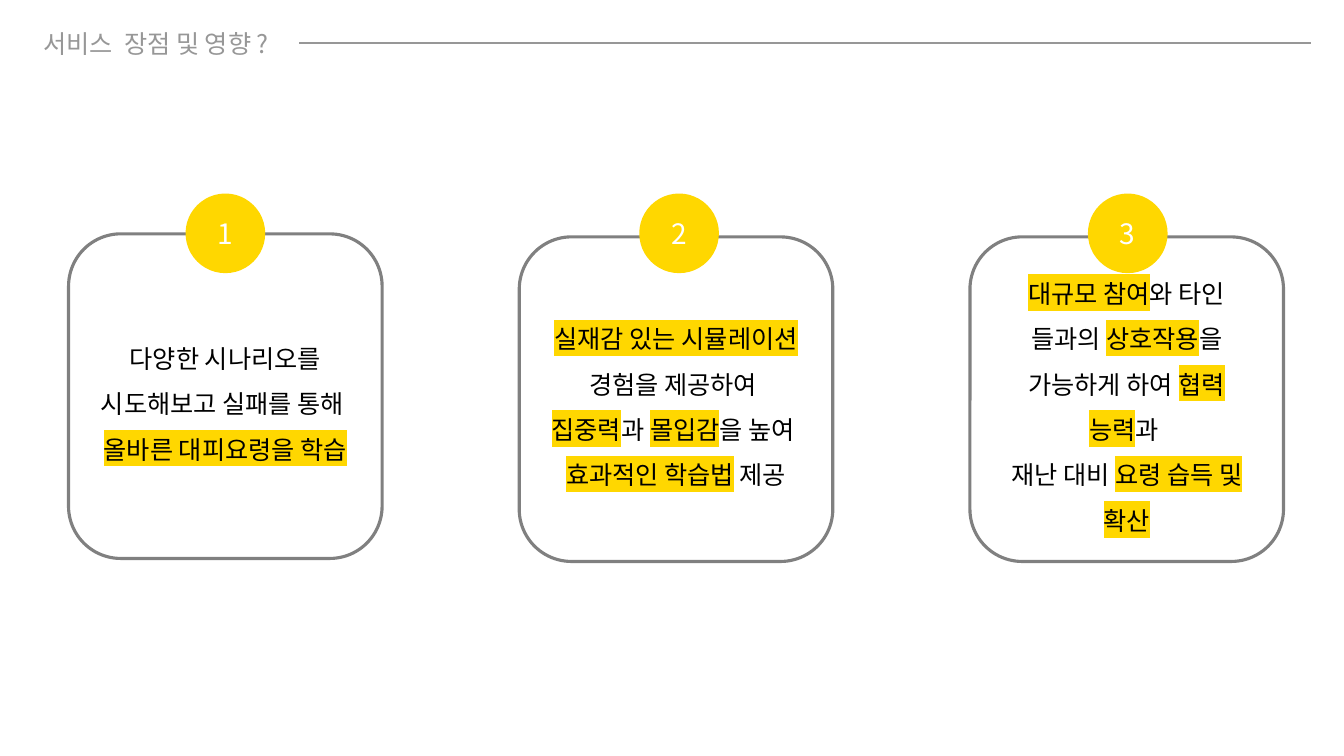
from lxml.etree import SubElement
from pptx import Presentation
from pptx.dml.color import RGBColor
from pptx.enum.shapes import MSO_CONNECTOR, MSO_SHAPE
from pptx.enum.text import MSO_ANCHOR, PP_ALIGN
from pptx.oxml import parse_xml
from pptx.oxml.ns import nsdecls, qn
from pptx.util import Inches, Pt

HEADING = "서비스  장점 및 영향 ?"
# Text between bars is highlighted: (badge left, card top, paragraphs)
BENEFITS = [
    (1.84, 2.32, ["다양한 시나리오를 시도해보고 실패를 통해 ",
                  "|올바른 대피요령을 학습|"]),
    (6.34, 2.35, ["|실재감 있는 시뮬레이션 |경험을 제공하여 ",
                  "|집중력|과 |몰입감|을 높여 ",
                  "|효과적인 학습법| 제공"]),
    (10.79, 2.35, ["|대규모 참여|와 타인 들과의 |상호작용|을 가능하게 하여 |협력 능력|과 ",
                   "재난 대비 |요령 습득 및 확산|"]),
]

FONT = "Noto Sans CJK KR"
YELLOW = RGBColor(0xFF, 0xD7, 0x00)
HEADING_GRAY = RGBColor(0x97, 0x97, 0x97)
BORDER_GRAY = RGBColor(0x80, 0x80, 0x80)
BLACK = RGBColor(0, 0, 0)
WHITE = RGBColor(0xFF, 0xFF, 0xFF)

SLIDE_W, SLIDE_H = 13.33, 7.5
CARD_LEFT, CARD_PITCH, CARD_W, CARD_H = 0.68, 4.47, 3.11, 3.22
BADGE_TOP, BADGE_SIZE = 1.92, 0.79
RULE_Y = 0.43


def style(paragraph, size, color):
    font = paragraph.font
    font.size, font.name = Pt(size), FONT
    font.color.rgb = color
    east_asian = SubElement(paragraph.font._element, qn("a:ea"))
    east_asian.set("typeface", FONT)


def highlight(run):
    run._r.get_or_add_rPr().append(parse_xml(
        f'<a:highlight {nsdecls("a")}><a:srgbClr val="{YELLOW}"/></a:highlight>'))


def write_marked(paragraph, marked):
    """Add the runs of a text whose parts between bars are highlighted."""
    for index, part in enumerate(marked.split("|")):
        if part:
            run = paragraph.add_run()
            run.text = part
            if index % 2:
                highlight(run)


def add_box(slide, preset, left, top, width, height):
    box = slide.shapes.add_shape(
        preset, Inches(left), Inches(top), Inches(width), Inches(height))
    box.shadow.inherit = False
    box.text_frame.word_wrap = True
    box.text_frame.vertical_anchor = MSO_ANCHOR.MIDDLE
    return box


def add_heading(slide):
    heading = slide.shapes.add_textbox(
        Inches(0.33), Inches(0.23), Inches(3.21), Inches(0.4))
    heading.text_frame.word_wrap = True
    paragraph = heading.text_frame.paragraphs[0]
    paragraph.text = HEADING
    style(paragraph, 18, HEADING_GRAY)

    rule = slide.shapes.add_connector(
        MSO_CONNECTOR.STRAIGHT,
        Inches(2.97), Inches(RULE_Y), Inches(13), Inches(RULE_Y))
    rule.line.color.rgb = HEADING_GRAY
    rule.line.width = Pt(1.5)
    SubElement(rule._element.spPr, qn("a:effectLst"))


def add_card(slide, left, top, texts):
    card = add_box(slide, MSO_SHAPE.ROUNDED_RECTANGLE, left, top, CARD_W, CARD_H)
    card.fill.background()
    card.line.color.rgb = BORDER_GRAY
    card.line.width = Pt(2.25)
    frame = card.text_frame
    for index, marked in enumerate(texts):
        paragraph = frame.add_paragraph() if index else frame.paragraphs[0]
        paragraph.alignment = PP_ALIGN.CENTER
        paragraph.line_spacing = 1.5
        write_marked(paragraph, marked)
        style(paragraph, 18, BLACK)


def add_badge(slide, left, number):
    badge = add_box(slide, MSO_SHAPE.OVAL, left, BADGE_TOP, BADGE_SIZE, BADGE_SIZE)
    badge.fill.solid()
    badge.fill.fore_color.rgb = YELLOW
    badge.line.fill.background()
    paragraph = badge.text_frame.paragraphs[0]
    paragraph.text = str(number)
    paragraph.alignment = PP_ALIGN.CENTER
    style(paragraph, 20, WHITE)


def main():
    deck = Presentation()
    deck.slide_width, deck.slide_height = Inches(SLIDE_W), Inches(SLIDE_H)
    slide = deck.slides.add_slide(deck.slide_layouts[6])
    add_heading(slide)
    for column, (_, card_top, texts) in enumerate(BENEFITS):
        add_card(slide, CARD_LEFT + column * CARD_PITCH, card_top, texts)
    for number, (badge_left, _, _) in enumerate(BENEFITS, start=1):
        add_badge(slide, badge_left, number)
    deck.save("out.pptx")


if __name__ == "__main__":
    main()
